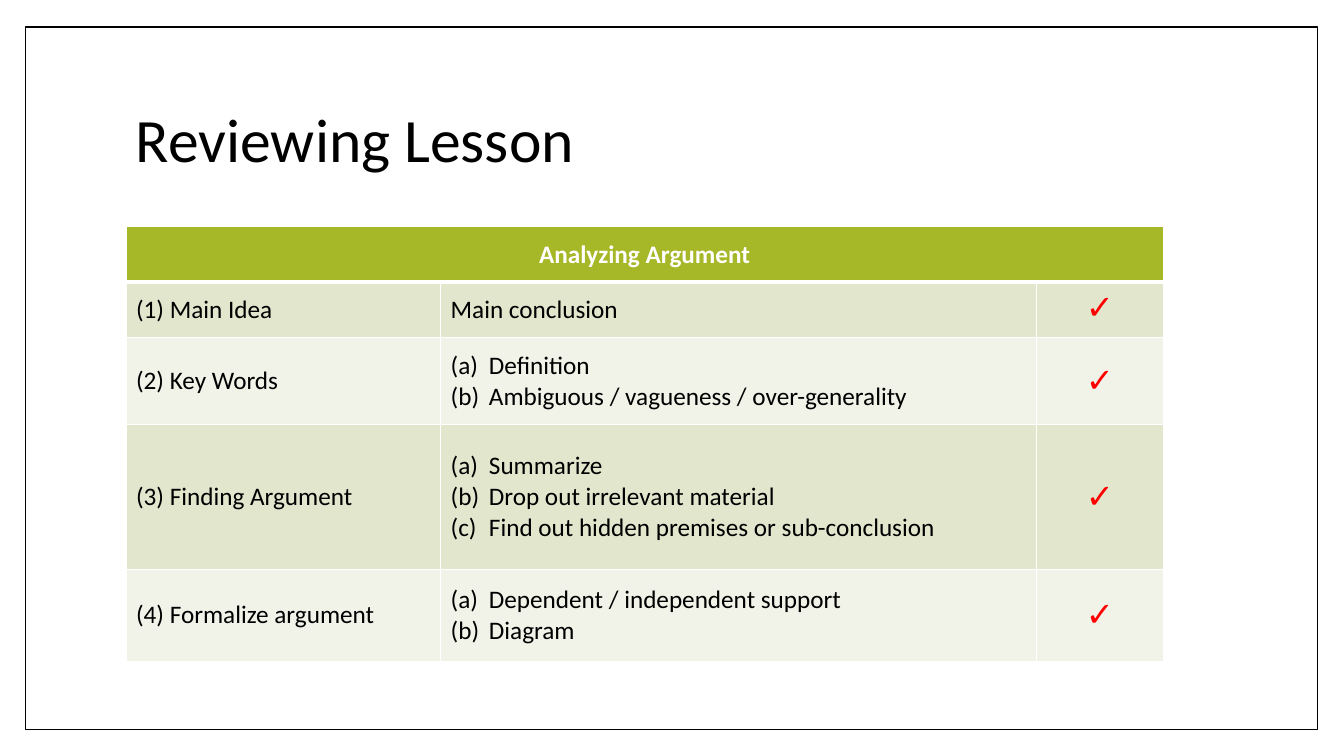
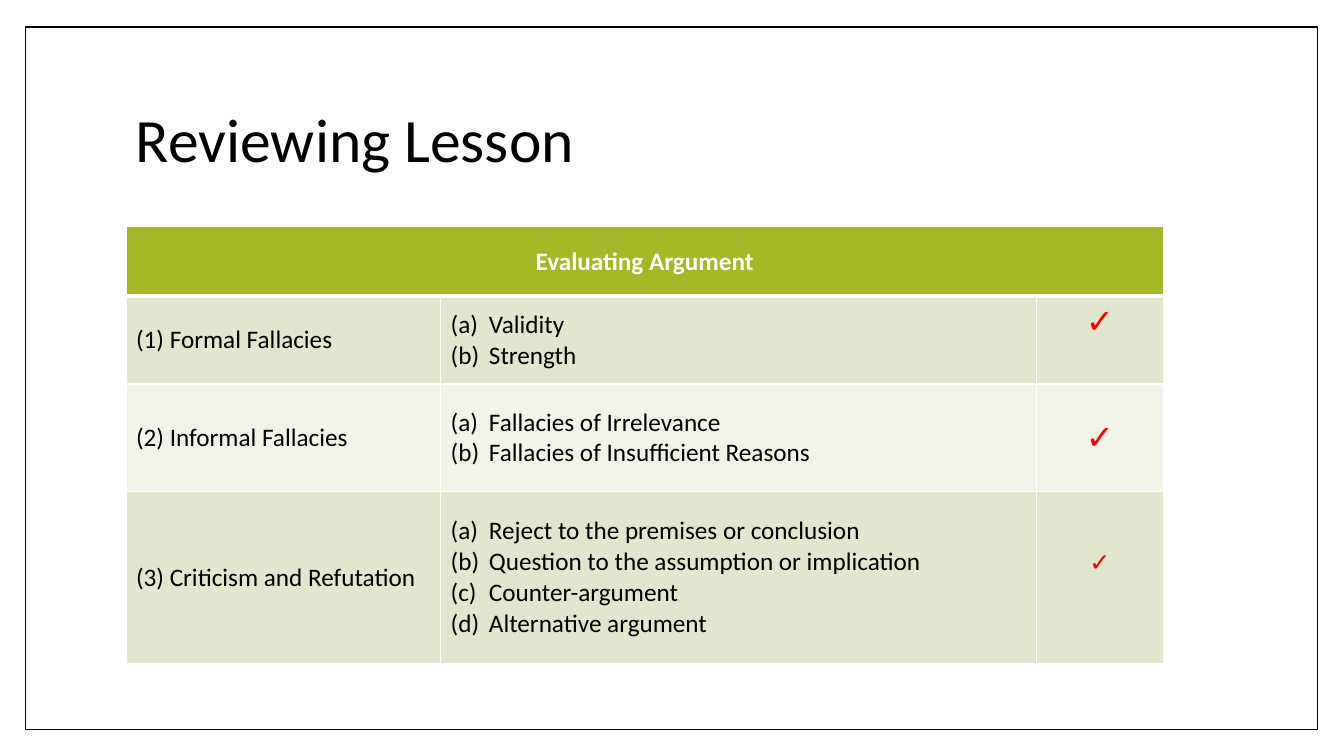
from dataclasses import dataclass

from pptx import Presentation
from pptx.dml.color import RGBColor
from pptx.enum.shapes import MSO_SHAPE
from pptx.enum.text import MSO_ANCHOR, PP_ALIGN
from pptx.oxml.ns import qn
from pptx.util import Inches, Pt
from lxml import etree

RECT = MSO_SHAPE.RECTANGLE
TOP, MIDDLE = MSO_ANCHOR.TOP, MSO_ANCHOR.MIDDLE
LEFT, CENTER = PP_ALIGN.LEFT, PP_ALIGN.CENTER


@dataclass(frozen=True)
class Theme:
    font: str = "Calibri"
    ink: str = "000000"
    paper: str = "FFFFFF"
    head: str = "A6B727"
    bands: tuple = ("E1E6CD", "F1F3E8")
    tick: str = "FF0000"
    title: int = 44
    body: int = 18
    mark: int = 24
    rule: int = 1
    thick: int = 3


THEME = Theme()
FRAME = (0.25, 0.27, 12.82, 6.97)
TITLE = (1.25, 0.67, 10.8, 1.48)
TABLE = (1.25, 2.25)
COLS = (3.12, 5.91, 1.26)
INDENT = 0.38
TICK = "✓"

# Each lesson: header, row heights, rows of (topic, points, tick size, tick lift)
LESSONS = (
    ("Analyzing Argument", (0.55, 0.55, 0.86, 1.44, 0.91), (
        ("(1) Main Idea", "Main conclusion", THEME.mark, 0),
        ("(2) Key Words",
         ("Definition", "Ambiguous / vagueness / over-generality"),
         THEME.mark, 0),
        ("(3) Finding Argument",
         ("Summarize", "Drop out irrelevant material",
          "Find out hidden premises or sub-conclusion"), THEME.mark, 0),
        ("(4) Formalize argument",
         ("Dependent / independent support", "Diagram"), THEME.mark, 0),
    )),
    ("Evaluating Argument", (0.69, 0.87, 1.07, 1.7), (
        ("(1) Formal Fallacies", ("Validity", "Strength"), THEME.mark, 0),
        ("(2) Informal Fallacies",
         ("Fallacies of Irrelevance", "Fallacies of Insufficient Reasons"),
         THEME.mark, 0),
        ("(3) Criticism and Refutation",
         ("Reject to the premises or conclusion",
          "Question to the assumption or implication",
          "Counter-argument", "Alternative argument"), THEME.body, 0.3),
    )),
)


def rgb(code):
    return RGBColor.from_string(code)


def style(para, size, color, bold=False, align=LEFT):
    para.alignment = align
    for run in para.runs:
        run.font.name = THEME.font
        run.font.size = Pt(size)
        run.font.bold = bold
        run.font.color.rgb = rgb(color)


def letter(para):
    """Number a paragraph (a), (b), (c) with a hanging indent."""
    props = para._p.get_or_add_pPr()
    props.set("marL", str(Inches(INDENT)))
    props.set("indent", str(-Inches(INDENT)))
    etree.SubElement(props, qn("a:buFont"), typeface="+mj-lt")
    etree.SubElement(props, qn("a:buAutoNum"), type="alphaLcParenBoth")


def paint(cell, color, top, bottom):
    """Fill a cell and rule its four sides."""
    cell.fill.solid()
    cell.fill.fore_color.rgb = rgb(color)
    props = cell._tc.get_or_add_tcPr()
    sides = (("L", THEME.rule), ("R", THEME.rule), ("T", top), ("B", bottom))
    for spot, (side, width) in enumerate(sides):
        line = etree.Element(qn("a:ln" + side), w=str(Pt(width)))
        fill = etree.SubElement(line, qn("a:solidFill"))
        etree.SubElement(fill, qn("a:srgbClr"), val=THEME.paper)
        props.insert(spot, line)


def write(cell, text, size=THEME.body, color=THEME.ink, bold=False,
          align=LEFT):
    """Set one line of text, or a lettered list when given a tuple."""
    listed = isinstance(text, tuple)
    cell.text_frame.text = "\n".join(text) if listed else text
    cell.vertical_anchor = MIDDLE
    for para in cell.text_frame.paragraphs:
        style(para, size, color, bold, align)
        if listed:
            letter(para)


def add_frame(slide, box):
    frame = slide.shapes.add_shape(RECT, *map(Inches, box))
    frame.shadow.inherit = False
    frame.fill.solid()
    frame.fill.fore_color.rgb = rgb(THEME.paper)
    frame.line.color.rgb = rgb(THEME.ink)
    frame.line.width = Pt(THEME.rule)


def add_title(slide, box, text):
    frame = slide.shapes.add_textbox(*map(Inches, box)).text_frame
    frame.word_wrap = True
    frame.vertical_anchor = MIDDLE
    frame.text = text
    para = frame.paragraphs[0]
    para.line_spacing = 0.9
    style(para, THEME.title, THEME.ink)


def add_grid(slide, spot, header, heights, rows):
    size = (sum(COLS), sum(heights))
    table = slide.shapes.add_table(
        len(heights), len(COLS), *map(Inches, spot + size)).table
    table.horz_banding = False
    for col, width in zip(table.columns, COLS):
        col.width = Inches(width)
    for row, height in zip(table.rows, heights):
        row.height = Inches(height)

    for num, row in enumerate(table.rows):
        color = THEME.bands[(num - 1) % 2] if num else THEME.head
        top = THEME.thick if num == 1 else THEME.rule
        bottom = THEME.rule if num else THEME.thick
        for cell in row.cells:
            paint(cell, color, top, bottom)

    first = table.cell(0, 0)
    first.merge(table.cell(0, len(COLS) - 1))
    write(first, header, color=THEME.paper, bold=True, align=CENTER)

    for num, (topic, points, mark, lift) in enumerate(rows, 1):
        write(table.cell(num, 0), topic)
        write(table.cell(num, 1), points)
        tick = table.cell(num, 2)
        write(tick, TICK, mark, THEME.tick, True, CENTER)
        tick.margin_bottom = Inches(0.05 + lift)
        if num == 1:
            tick.vertical_anchor = TOP


def add_lesson(deck, lesson):
    slide = deck.slides.add_slide(deck.slide_layouts[6])
    add_frame(slide, FRAME)
    add_title(slide, TITLE, "Reviewing Lesson")
    add_grid(slide, TABLE, *lesson)


def main():
    deck = Presentation()
    deck.slide_width = Inches(13.33)
    deck.slide_height = Inches(7.5)
    for lesson in LESSONS:
        add_lesson(deck, lesson)
    deck.save("out.pptx")


if __name__ == "__main__":
    main()
